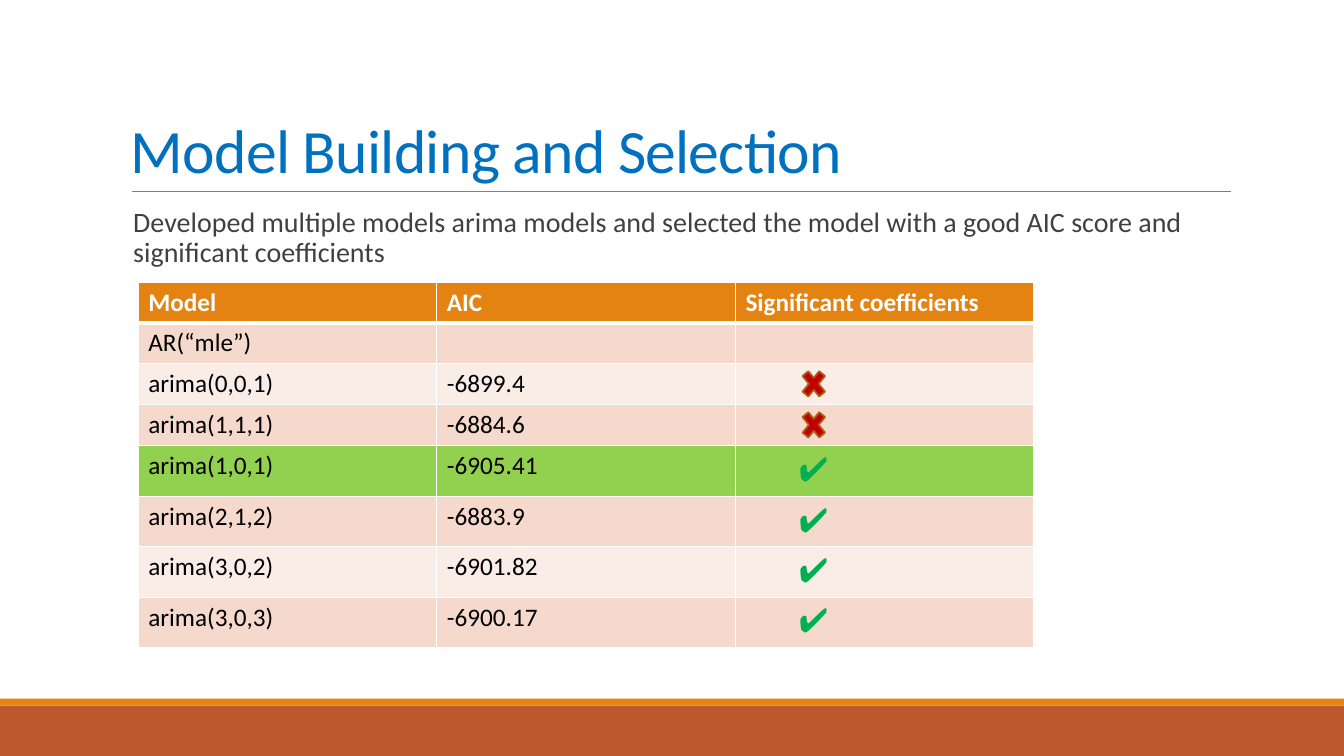
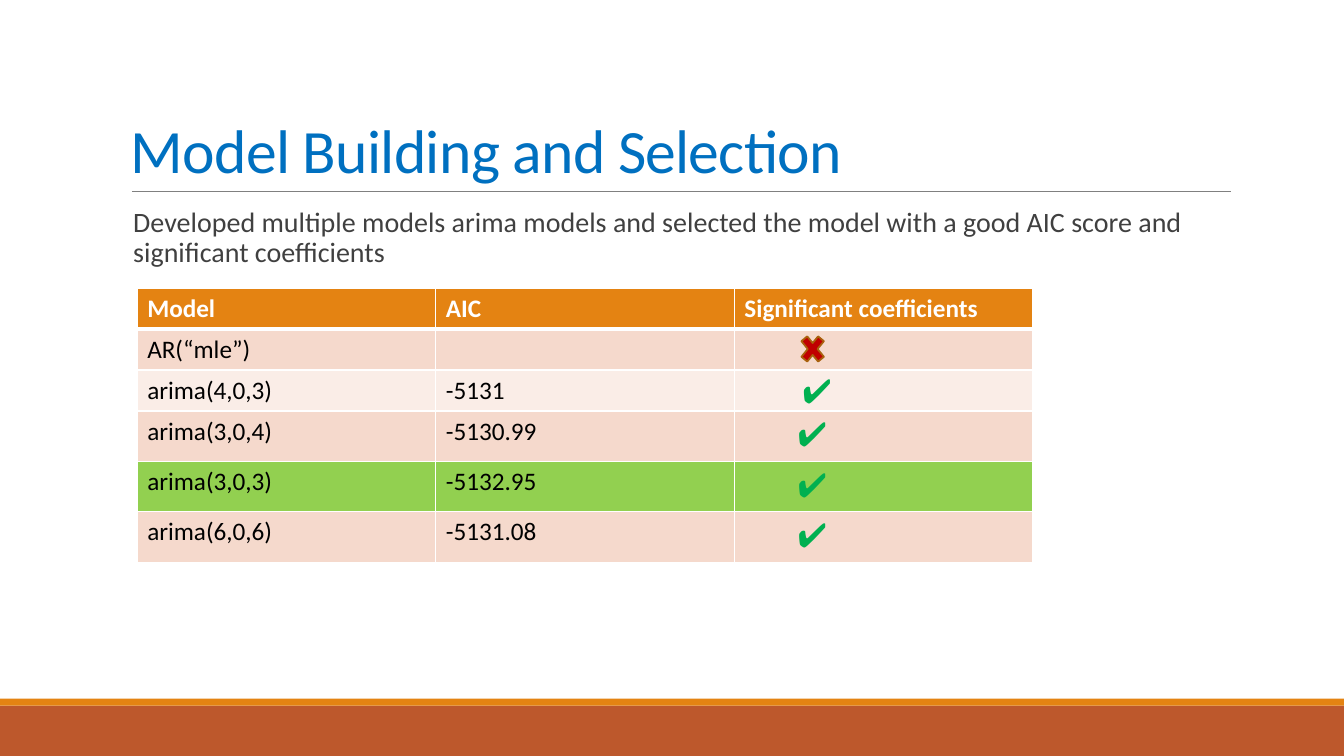
"""Build two slides that compare ARIMA models in tables."""
from itertools import accumulate

from lxml import etree
from pptx import Presentation
from pptx.dml.color import RGBColor
from pptx.enum import shapes, text
from pptx.oxml import ns
from pptx.util import Pt

WHITE = RGBColor(0xFF, 0xFF, 0xFF)
BLACK = RGBColor(0x00, 0x00, 0x00)
BLUE = RGBColor(0x00, 0x70, 0xC0)
GREY = RGBColor(0x80, 0x80, 0x80)
DARK_GREY = RGBColor(0x40, 0x40, 0x40)
ORANGE = RGBColor(0xE4, 0x83, 0x12)
RUST = RGBColor(0xBD, 0x58, 0x2C)
PEACH = RGBColor(0xF5, 0xD9, 0xCC)
PALE_PEACH = RGBColor(0xFA, 0xED, 0xE7)
LIME = RGBColor(0x92, 0xD0, 0x50)
GREEN = RGBColor(0x00, 0xB0, 0x50)
RED = RGBColor(0xC0, 0x00, 0x00)
BROWN = RGBColor(0xA9, 0x61, 0x0D)

WIDTH, HEIGHT = 960, 540
COLUMN, HEADER_ROW, PLAIN_ROW, TICK_ROW = 213.3, 28.4, 29.3, 35.2
TICK = "✔"
TICK_FORMAT = dict(size=24, font="Karla", color=GREEN)

TITLE = "Model Building and Selection"
SUMMARY = ("Developed multiple models arima models and selected the model "
           "with a good AIC score and significant coefficients")
HEADERS = ("Model", "AIC", "Significant coefficients")
FIRST_MODELS = [
    ("AR(“mle”)", "", ""),
    ("arima(0,0,1)", "-6899.4", "cross"),
    ("arima(1,1,1)", "-6884.6", "cross"),
    ("arima(1,0,1)", "-6905.41", TICK),
    ("arima(2,1,2)", "-6883.9", TICK),
    ("arima(3,0,2)", "-6901.82", TICK),
    ("arima(3,0,3)", "-6900.17", TICK),
]
SECOND_MODELS = [
    ("AR(“mle”)", "", "cross"),
    ("arima(4,0,3)", "-5131", "loose tick"),
    ("arima(3,0,4)", "-5130.99", TICK),
    ("arima(3,0,3)", "-5132.95", TICK),
    ("arima(6,0,6)", "-5131.08", TICK),
]


def write(tf, content, size=18, font="Calibri", color=BLACK, bold=False,
          line=None, spacing=None, indent=None):
    """Put one formatted paragraph in a text frame."""
    p = tf.paragraphs[0]
    if line:
        p.line_spacing = line
    if indent:
        p._p.get_or_add_pPr().set("marL", str(Pt(indent)))
    r = p.add_run()
    r.text = content
    r.font.size, r.font.name, r.font.bold = Pt(size), font, bold
    r.font.color.rgb = color
    if spacing:
        r._r.get_or_add_rPr().set("spc", str(round(spacing * 100)))


def add_text(s, x, y, w, h, content, inset=7.2, wrap=True,
             anchor=text.MSO_ANCHOR.TOP, **style):
    """Add a text box with one paragraph."""
    tf = s.shapes.add_textbox(Pt(x), Pt(y), Pt(w), Pt(h)).text_frame
    tf.word_wrap, tf.vertical_anchor = wrap, anchor
    tf.margin_left = tf.margin_right = Pt(inset)
    write(tf, content, **style)


def add_shape(s, kind, x, y, w, h, fill, line=None):
    """Add a filled preset shape, outlined if a line colour is given."""
    sp = s.shapes.add_shape(kind, Pt(x), Pt(y), Pt(w), Pt(h))
    sp.shadow.inherit = False
    sp.fill.solid()
    sp.fill.fore_color.rgb = fill
    if line is None:
        sp.line.fill.background()
    else:
        sp.line.color.rgb, sp.line.width = line, Pt(1.25)


def add_rule(s, x1, x2, y):
    """Add the thin line below the title."""
    c = s.shapes.add_connector(shapes.MSO_CONNECTOR.STRAIGHT,
                               Pt(x1), Pt(y), Pt(x2), Pt(y))
    c.line.color.rgb, c.line.width = GREY, Pt(0.5)
    etree.SubElement(c._element.spPr, ns.qn("a:effectLst"))


def style_cell(cell, fill, top=1, bottom=1):
    """Give a table cell white borders and a fill."""
    tcPr = cell._tc.get_or_add_tcPr()
    for side, width in zip("LRTB", (1, 1, top, bottom)):
        ln = etree.SubElement(tcPr, ns.qn(f"a:ln{side}"), w=str(Pt(width)))
        solid = etree.SubElement(ln, ns.qn("a:solidFill"))
        etree.SubElement(solid, ns.qn("a:srgbClr"), val=str(WHITE))
    cell.fill.solid()
    cell.fill.fore_color.rgb = fill


def add_mark(s, mark, x, y):
    """Add a cross or a loose tick over the table row that starts at y."""
    if mark == "cross":
        add_shape(s, shapes.MSO_SHAPE.MATH_MULTIPLY, x + 471, y + 0.7,
                  23, 28, RED, BROWN)
    elif mark == "loose tick":
        add_text(s, x + 468, y - 3, 34, 36, TICK, wrap=False, **TICK_FORMAT)


def add_models(s, x, y, models, best):
    """Add the model table with its best row highlighted."""
    heights = [HEADER_ROW] + [TICK_ROW if m[2] == TICK else PLAIN_ROW
                              for m in models]
    table = s.shapes.add_table(len(heights), len(HEADERS), Pt(x), Pt(y),
                               Pt(COLUMN * len(HEADERS)),
                               Pt(sum(heights))).table
    table.first_row = table.horz_banding = False
    for column in table.columns:
        column.width = Pt(COLUMN)
    for row, height in zip(table.rows, heights):
        row.height = Pt(height)
    for cell, header in zip(table.rows[0].cells, HEADERS):
        style_cell(cell, ORANGE, bottom=3)
        write(cell.text_frame, header, color=WHITE, bold=True)
    tops = list(accumulate(heights, initial=y))
    for i, model in enumerate(models, 1):
        fill = LIME if i == best else PEACH if i % 2 else PALE_PEACH
        for cell, value in zip(table.rows[i].cells, model):
            style_cell(cell, fill, top=3 if i == 1 else 1)
            if value == TICK:
                write(cell.text_frame, TICK, indent=38, **TICK_FORMAT)
            elif value != model[2]:
                write(cell.text_frame, value)
        add_mark(s, model[2], x, tops[i])


def add_slide(prs):
    """Add a slide with the shared bands, title, rule and summary."""
    s = prs.slides.add_slide(prs.slide_layouts[6])
    for y, h, fill in ((504, 36, RUST), (499, 5, ORANGE)):
        add_shape(s, shapes.MSO_SHAPE.RECTANGLE, 0, y, WIDTH, h, fill)
    add_rule(s, 94.3, 879, 136.8)
    add_text(s, 86.4, 22.5, 792, 114.3, TITLE, size=44, color=BLUE,
             line=0.85, spacing=-0.5, anchor=text.MSO_ANCHOR.BOTTOM)
    add_text(s, 95.2, 145.4, 783.2, 52, SUMMARY, size=20, color=DARK_GREY,
             line=0.9, inset=0)
    return s


def main():
    """Build and save the presentation."""
    prs = Presentation()
    prs.slide_width, prs.slide_height = Pt(WIDTH), Pt(HEIGHT)
    add_models(add_slide(prs), 98.8, 201.8, FIRST_MODELS, best=4)
    add_models(add_slide(prs), 98, 206.2, SECOND_MODELS, best=4)
    prs.save("out.pptx")


if __name__ == "__main__":
    main()
